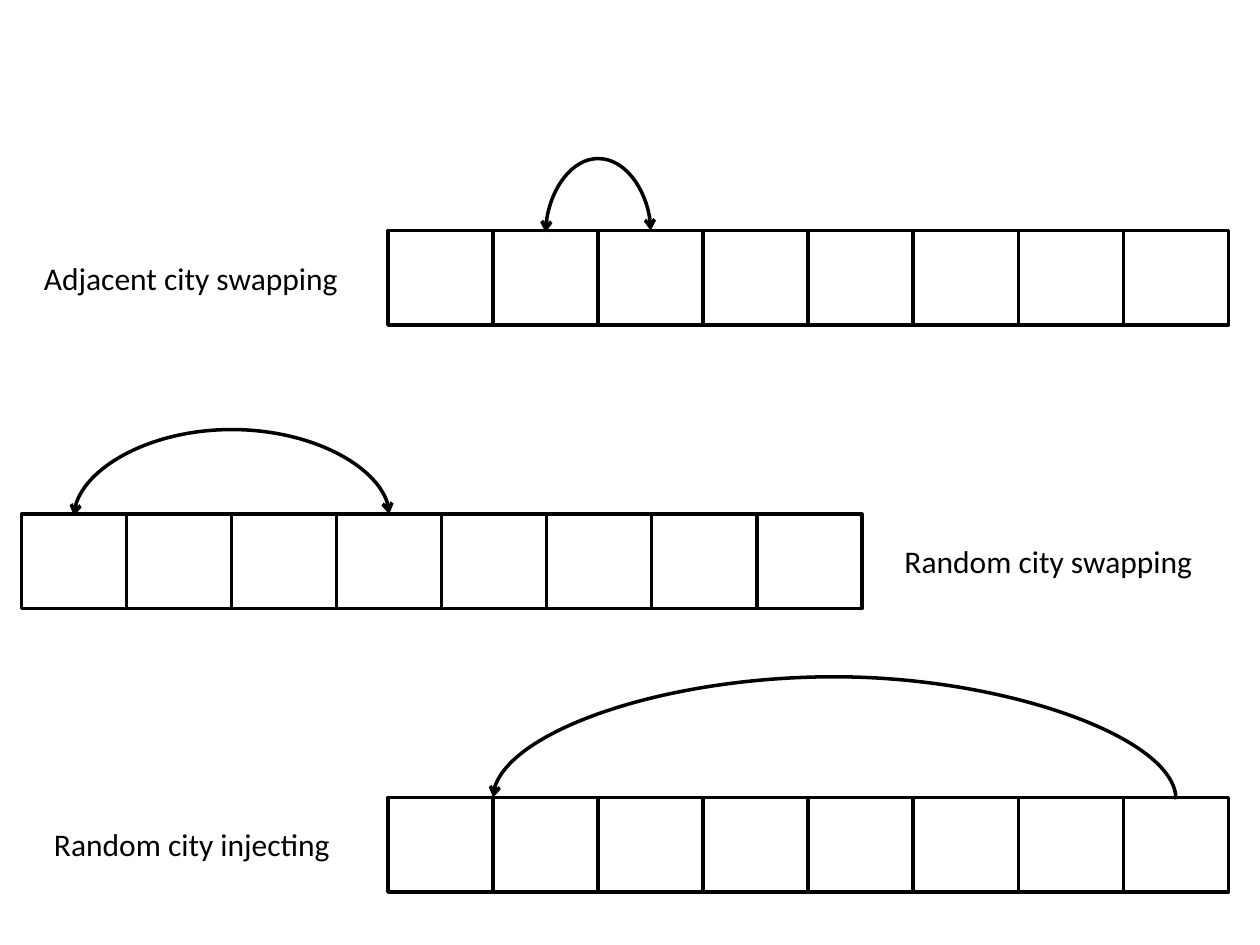
from lxml import etree
from pptx import Presentation
from pptx.dml.color import RGBColor
from pptx.enum import shapes, text
from pptx.oxml.ns import qn
from pptx.util import Inches, Pt

BLACK = RGBColor(0, 0, 0)
WHITE = RGBColor(255, 255, 255)
CELLS = 8
LINE_WIDTH = Pt(2)
ARC_DROP = Pt(1)  # an arc starts slightly lower than it ends


def add_cells(s, left, top, width, height):
    """A tour drawn as a row of equal cells."""
    cell = width / CELLS
    for i in range(CELLS):
        sp = s.shapes.add_shape(shapes.MSO_SHAPE.RECTANGLE, int(left + i * cell),
                                top, int(cell), height)
        sp.shadow.inherit = False
        sp.fill.solid()
        sp.fill.fore_color.rgb = WHITE
        sp.line.color.rgb = BLACK
        sp.line.width = LINE_WIDTH


def add_label(s, left, top, width, height, words):
    """The name of the move, beside its row."""
    sp = s.shapes.add_textbox(left, top, width, height)
    sp.fill.solid()
    sp.fill.fore_color.rgb = WHITE
    tf = sp.text_frame
    tf.word_wrap = True
    tf.auto_size = text.MSO_AUTO_SIZE.SHAPE_TO_FIT_TEXT
    p = tf.paragraphs[0]
    p.text = words
    p.font.name = "Calibri"
    p.font.size = Pt(18)
    p.font.color.rgb = BLACK


def add_arc(s, x1, x2, y, rise, both_ends):
    """A curved arrow from x1 to x2 that rises above y."""
    # The connector is laid out upright, then turned a quarter about its centre
    cx, half_span = (x1 + x2) / 2, abs(x2 - x1) / 2
    rightward = x2 > x1
    half_drop = ARC_DROP / 2 if rightward else -ARC_DROP / 2
    cy = y + ARC_DROP / 2
    c = s.shapes.add_connector(shapes.MSO_CONNECTOR.CURVE,
                               int(cx + half_drop), int(cy + half_span),
                               int(cx - half_drop), int(cy - half_span))
    c.line.color.rgb = BLACK
    c.line.width = LINE_WIDTH
    sp_pr = c._element.spPr
    sp_pr.find(qn("a:xfrm")).set("rot", str((90 if rightward else 270) * 60000))

    # Height of the bend, as a share of the drop
    guides = sp_pr.find(qn("a:prstGeom")).get_or_add_avLst()
    etree.SubElement(guides, qn("a:gd"), name="adj1",
                     fmla=f"val {round(rise / ARC_DROP * 100000)}")

    # Arrowheads
    ln = c.line._get_or_add_ln()
    if both_ends:
        etree.SubElement(ln, qn("a:headEnd"), type="arrow")
    etree.SubElement(ln, qn("a:tailEnd"), type="arrow")
    etree.SubElement(sp_pr, qn("a:effectLst"))


def add_move(s, row_box, label_box, words, start, end, rise, both_ends=True):
    """One move: cells, label and arc; start and end count in cells."""
    left, top, width, height = (Inches(v) for v in row_box)
    add_cells(s, left, top, width, height)
    add_label(s, *(Inches(v) for v in label_box), words)
    cell = width / CELLS
    add_arc(s, left + start * cell, left + end * cell, top, Inches(rise), both_ends)


def main():
    prs = Presentation()
    prs.slide_width, prs.slide_height = Inches(10), Inches(7.5)
    s = prs.slides.add_slide(prs.slide_layouts[6])
    add_move(s, (3.08, 1.83, 6.67, 0.75), (0.25, 2.01, 2.58, 0.4),
             "Adjacent city swapping", 1.5, 2.5, 0.59)
    add_move(s, (0.17, 4.08, 6.67, 0.75), (7.08, 4.25, 2.58, 0.4),
             "Random city swapping", 0.5, 3.5, 0.69)
    add_move(s, (3.08, 6.33, 6.67, 0.75), (0.33, 6.5, 2.42, 0.4),
             "Random city injecting", 7.5, 1, 0.98, both_ends=False)
    prs.save("out.pptx")


if __name__ == "__main__":
    main()
